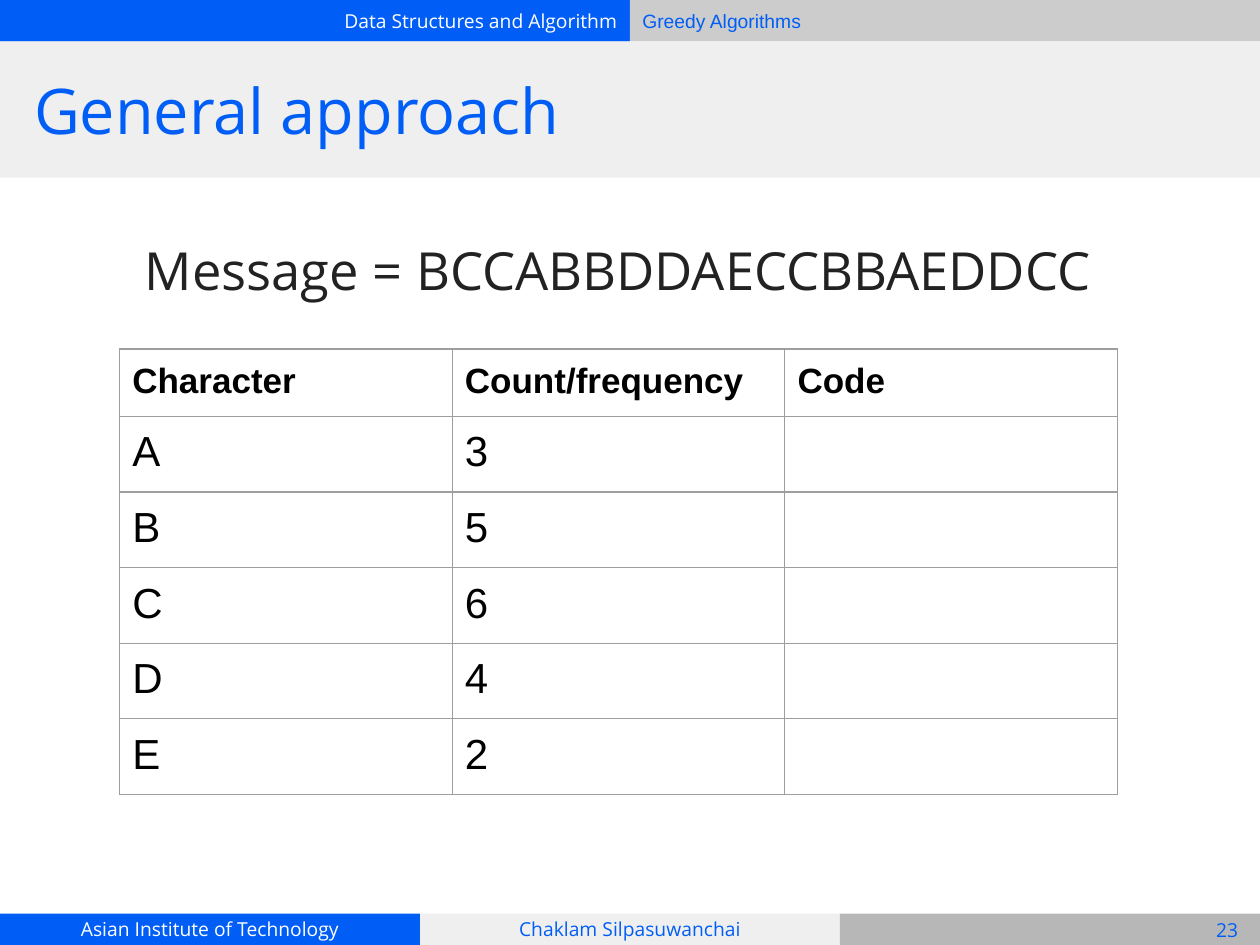
from dataclasses import dataclass

from lxml.etree import SubElement
from pptx import Presentation
from pptx.dml.color import RGBColor
from pptx.enum.shapes import MSO_SHAPE
from pptx.enum.text import MSO_ANCHOR, PP_ALIGN
from pptx.oxml.ns import qn
from pptx.util import Inches, Pt


@dataclass(frozen=True)
class Theme:
    blue: str = "005EF6"
    white: str = "FFFFFF"
    pale: str = "EFEFEF"
    silver: str = "CCCCCC"
    gray: str = "B7B7B7"
    ink: str = "222222"
    black: str = "000000"
    border: str = "9E9E9E"
    sans: str = "Open Sans"
    arial: str = "Arial"
    bar: int = 11
    head: int = 20
    cell: int = 24
    message: int = 30
    title: int = 36


theme = Theme()


def set_text(tf, text, size, color, font, align=PP_ALIGN.LEFT, anchor=MSO_ANCHOR.MIDDLE):
    tf.word_wrap = True
    tf.vertical_anchor = anchor
    tf.margin_left = tf.margin_right = tf.margin_top = tf.margin_bottom = Inches(0.1)
    p = tf.paragraphs[0]
    p.text = text
    p.alignment = align
    p.font.size = Pt(size)
    p.font.name = font
    p.font.color.rgb = RGBColor.from_string(color)


def set_borders(cell):
    tcPr = cell._tc.get_or_add_tcPr()
    for side in ("a:lnL", "a:lnR", "a:lnT", "a:lnB"):
        ln = SubElement(tcPr, qn(side), w=str(Pt(0.75)))
        fill = SubElement(ln, qn("a:solidFill"))
        SubElement(fill, qn("a:srgbClr"), val=theme.border)


prs = Presentation()
prs.slide_width = Inches(10)
prs.slide_height = Inches(7.5)
s = prs.slides.add_slide(prs.slide_layouts[5])

third = 10 / 3
bars = [
    (0, 0, 5, 0.33, theme.blue, "Data Structures and Algorithm", theme.white, theme.sans, PP_ALIGN.RIGHT),
    (5, 0, 5, 0.33, theme.silver, "Greedy Algorithms", theme.blue, theme.arial, PP_ALIGN.LEFT),
    (0, 7.25, third, 0.25, theme.blue, "Asian Institute of Technology", theme.white, theme.sans, PP_ALIGN.CENTER),
    (third, 7.25, third, 0.25, theme.pale, "Chaklam Silpasuwanchai", theme.blue, theme.sans, PP_ALIGN.CENTER),
    (2 * third, 7.25, third, 0.25, theme.gray, "", theme.blue, theme.sans, PP_ALIGN.CENTER),
    (0, 0.33, 10, 1.08, theme.pale, "", theme.blue, theme.sans, PP_ALIGN.LEFT),
]
for left, top, width, height, fill, text, color, font, align in bars:
    sp = s.shapes.add_shape(MSO_SHAPE.RECTANGLE, Inches(left), Inches(top), Inches(width), Inches(height))
    sp.shadow.inherit = False
    sp.fill.solid()
    sp.fill.fore_color.rgb = RGBColor.from_string(fill)
    sp.line.fill.background()
    if text:
        set_text(sp.text_frame, text, theme.bar, color, font, align)

number = s.shapes.add_textbox(Inches(9.48), Inches(7.26), Inches(0.52), Inches(0.24))
set_text(number.text_frame, "23", theme.bar, theme.blue, theme.sans, PP_ALIGN.CENTER)

message = s.shapes.add_textbox(Inches(0.34), Inches(1.79), Inches(9.13), Inches(1.01))
set_text(message.text_frame, "Message = BCCABBDDAECCBBAEDDCC", theme.message, theme.ink, theme.sans,
         PP_ALIGN.CENTER, MSO_ANCHOR.TOP)

rows = [
    ("Character", "Count/frequency", "Code"),
    ("A", "3", ""),
    ("B", "5", ""),
    ("C", "6", ""),
    ("D", "4", ""),
    ("E", "2", ""),
]
head_height, row_height, col_width = 0.51, 0.57, 2.64
table = s.shapes.add_table(len(rows), 3, Inches(0.95), Inches(2.77), Inches(3 * col_width),
                           Inches(head_height + 5 * row_height)).table
table.first_row = False
table.horz_banding = False
for col in table.columns:
    col.width = Inches(col_width)
for i, values in enumerate(rows):
    table.rows[i].height = Inches(row_height if i else head_height)
    for j, text in enumerate(values):
        cell = table.cell(i, j)
        set_borders(cell)
        cell.fill.background()
        cell.margin_left = cell.margin_right = cell.margin_top = cell.margin_bottom = Inches(0.1)
        p = cell.text_frame.paragraphs[0]
        p.text = text
        p.font.size = Pt(theme.cell if i else theme.head)
        p.font.bold = i == 0
        p.font.name = theme.arial
        p.font.color.rgb = RGBColor.from_string(theme.black)

title = s.shapes.title
title.left, title.top, title.width, title.height = Inches(0.17), Inches(0.33), Inches(9.67), Inches(1.08)
set_text(title.text_frame, "General approach", theme.title, theme.blue, theme.sans)
title.element.getparent().append(title.element)

prs.save("out.pptx")
